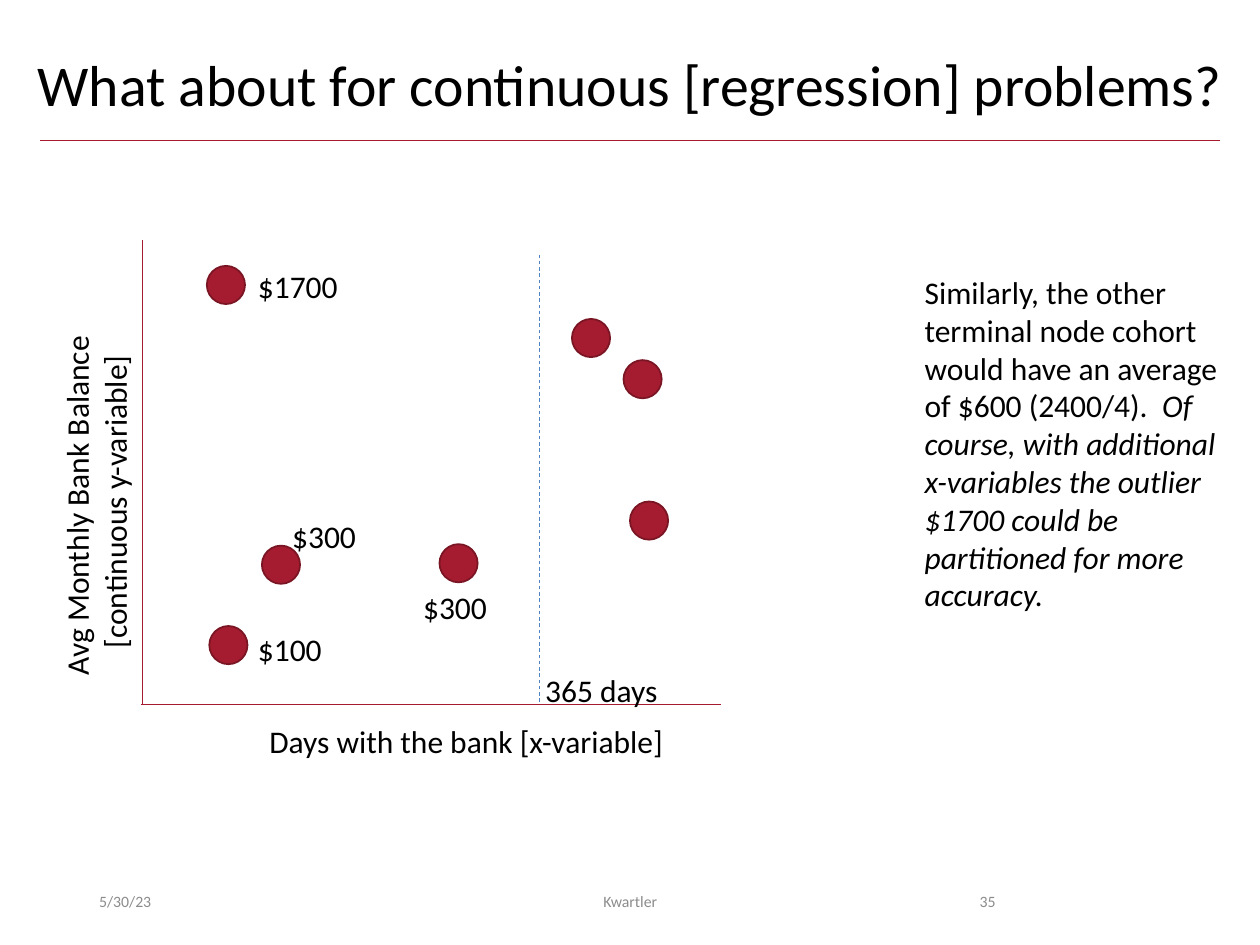
from lxml.etree import SubElement
from pptx import Presentation
from pptx.dml.color import RGBColor
from pptx.enum.dml import MSO_LINE
from pptx.enum.shapes import MSO_CONNECTOR, MSO_SHAPE
from pptx.enum.text import MSO_ANCHOR, PP_ALIGN
from pptx.oxml.ns import qn
from pptx.util import Cm, Pt

FONT = "Calibri"
BLACK, GREY = "000000", "8C8C8C"
CRIMSON, DARK_CRIMSON, BLUE = "A51C30", "7A1524", "4E84C4"

# Content; all lengths in cm
TITLE = "What about for continuous [regression] problems?"
EXPLANATION = [
    ("Similarly, the other terminal node cohort would have an average of $600 (2400/4).  ", False),
    ("Of course, with additional x-variables the outlier $1700 could be "
     "partitioned for more accuracy.", True),
]
X_LABEL = "Days with the bank [x-variable]"
Y_LABEL = "Avg Monthly Bank Balance \n[continuous y-variable]"

# Left, top of each customer's dot
DOT_SIZE = 0.77
CUSTOMERS = [(4.22, 12.62), (5.28, 11), (4.17, 5.36), (12.57, 7.26),
             (11.53, 6.43), (8.86, 10.97), (12.7, 10.11)]

# Text, left, top, width
PLOT_LABELS = [
    (X_LABEL, 5.18, 14.43, 8.53),
    ("$100", 4.95, 12.57, 1.8),
    ("$300", 5.64, 10.29, 1.8),
    ("$300", 8.28, 11.73, 1.8),
    ("365 days", 10.74, 13.41, 2.79),
    ("$1700", 4.95, 5.26, 2.13),
]

# Text, left, width, alignment
FOOTERS = [
    ("5/30/23", 1.75, 5.72, PP_ALIGN.LEFT),
    ("Kwartler", 8.41, 8.59, PP_ALIGN.CENTER),
    ("35", 17.93, 2.39, PP_ALIGN.RIGHT),
]
LABEL_HEIGHT = 1.02
AXIS_X, AXIS_Y, SPLIT_X = 2.87, 14.2, 10.87

prs = Presentation()
prs.slide_width, prs.slide_height = Cm(25.4), Cm(19.05)
slide = prs.slides.add_slide(prs.slide_layouts[6])


def rgb(color):
    return RGBColor.from_string(color)


def add_line(x1, y1, x2, y2, color=CRIMSON, dash=None):
    line = slide.shapes.add_connector(
        MSO_CONNECTOR.STRAIGHT, Cm(x1), Cm(y1), Cm(x2), Cm(y2))
    line.line.color.rgb = rgb(color)
    line.line.width = Pt(0.5)
    if dash:
        line.line.dash_style = dash
    SubElement(line._element.spPr, qn("a:effectLst"))


def add_text(text, left, top, width, height, size=18, color=BLACK,
             align=PP_ALIGN.LEFT, anchor=MSO_ANCHOR.TOP, wrap=True):
    """Text is a string, or a list of (words, italic) runs for one paragraph."""
    box = slide.shapes.add_textbox(Cm(left), Cm(top), Cm(width), Cm(height))
    frame = box.text_frame
    frame.word_wrap = wrap
    frame.vertical_anchor = anchor
    if isinstance(text, str):
        frame.text = text
    else:
        for words, italic in text:
            run = frame.paragraphs[0].add_run()
            run.text = words
            run.font.italic = italic
    for paragraph in frame.paragraphs:
        paragraph.alignment = align
        for run in paragraph.runs:
            run.font.name = FONT
            run.font.size = Pt(size)
            run.font.color.rgb = rgb(color)
    return box


# Title and rule
heading = add_text(TITLE, 0.51, 1.02, 24.89, 1.65, size=33)
heading.text_frame.paragraphs[0].line_spacing = 0.9
add_line(0.81, 2.84, 24.59, 2.84)

# Explanation
add_text(EXPLANATION, 18.39, 5.38, 6.91, 7.19)

# Axes and the 365-day split
add_line(2.84, AXIS_Y, 14.53, AXIS_Y)
add_line(AXIS_X, AXIS_Y, AXIS_X, 4.83)
add_line(SPLIT_X, 14.15, SPLIT_X, 5.08, BLUE, MSO_LINE.DASH)

# Customers
for left, top in CUSTOMERS:
    dot = slide.shapes.add_shape(
        MSO_SHAPE.OVAL, Cm(left), Cm(top), Cm(DOT_SIZE), Cm(DOT_SIZE))
    dot.shadow.inherit = False
    dot.fill.solid()
    dot.fill.fore_color.rgb = rgb(CRIMSON)
    dot.line.color.rgb = rgb(DARK_CRIMSON)
    dot.line.width = Pt(1)

# Axis titles and values
for text, left, top, width in PLOT_LABELS:
    add_text(text, left, top, width, LABEL_HEIGHT, wrap=False)
y_title = add_text(Y_LABEL, -1.85, 9.22, 7.57, 1.8, align=PP_ALIGN.CENTER, wrap=False)
y_title.rotation = 270

# Footer
for text, left, width, align in FOOTERS:
    add_text(text, left, 17.65, width, LABEL_HEIGHT, size=9, color=GREY,
             align=align, anchor=MSO_ANCHOR.MIDDLE)

prs.save("out.pptx")
